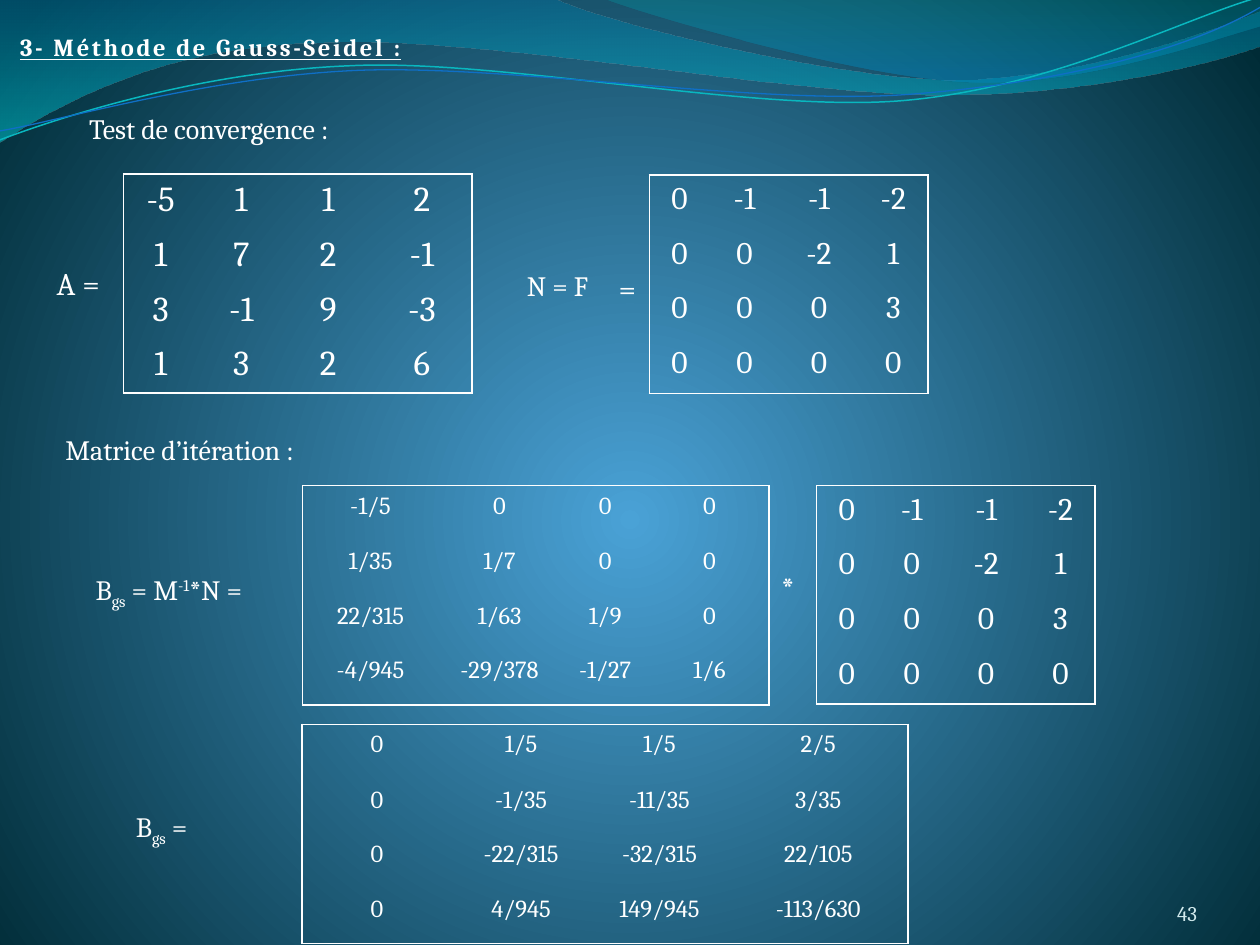
from pptx import Presentation
from pptx.dml.color import RGBColor
from pptx.enum.text import MSO_ANCHOR, MSO_AUTO_SIZE, PP_ALIGN
from pptx.oxml.ns import qn
from pptx.util import Cm, Pt
from lxml.etree import SubElement

FONT = "Cambria"
WHITE = RGBColor(0xFF, 0xFF, 0xFF)
NUMBER = RGBColor(0xD1, 0xEA, 0xED)
GLOW = RGBColor(0x4A, 0xA2, 0xD6)
NIGHT = RGBColor(0x00, 0x2B, 0x36)
BLUE = RGBColor(0x00, 0x74, 0xA0)
CYAN = RGBColor(0x00, 0xC4, 0xCD)
SKY = RGBColor(0x00, 0x8A, 0xBF)
TEAL = RGBColor(0x00, 0xA0, 0xA8)
TURQUOISE = RGBColor(0x09, 0xB7, 0xBF)
ROYAL = RGBColor(0x0F, 0x6F, 0xC6)

ROW_H = 1.1
A = ["-5 1 1 2", "1 7 2 -1", "3 -1 9 -3", "1 3 2 6"]
N = ["0 -1 -1 -2", "0 0 -2 1", "0 0 0 3", "0 0 0 0"]
M_INV = ["-1/5 0 0 0", "1/35 1/7 0 0", "22/315 1/63 1/9 0", "-4/945 -29/378 -1/27 1/6"]
B_GS = ["0 1/5 1/5 2/5", "0 -1/35 -11/35 3/35", "0 -22/315 -32/315 22/105",
        "0 4/945 149/945 -113/630"]
N_COLS = (1.22, 1.4, 1.6, 1.4)


def style(r, size, color=WHITE):
    r.font.name, r.font.size = FONT, Pt(size)
    r.font.color.rgb = color


def gradient(fill, stops):
    fill.gradient()
    for stop, (pos, color) in zip(fill.gradient_stops, stops):
        stop.position = pos
        stop.color.rgb = color


def background(s):
    gradient(s.background.fill, ((0, GLOW), (1, NIGHT)))
    grad = next(s.background._cSld.iter(qn("a:gradFill")))
    grad.remove(grad.find(qn("a:lin")))
    focus = SubElement(grad, qn("a:path"), {"path": "circle"})
    SubElement(focus, qn("a:fillToRect"), l="50000", t="55000", r="50000", b="45000")


def curve(shapes, start, *segments, close=False):
    builder = shapes.build_freeform(Cm(start[0]), Cm(start[1]))
    builder.add_line_segments([(Cm(x), Cm(y)) for seg in segments for x, y in seg], close=close)
    sp = builder.convert_to_shape()
    sp.shadow.inherit = False
    lines = iter(list(sp._element.iter(qn("a:lnTo"))))
    for seg in segments:
        group = [next(lines) for _ in seg]
        if len(group) == 3:
            bezier = SubElement(group[0].getparent(), qn("a:cubicBezTo"))
            group[0].addprevious(bezier)
            for line in group:
                bezier.append(line[0])
                line.getparent().remove(line)
    return sp


def band(shapes, stops, alphas, angle, start, *segments):
    sp = curve(shapes, start, *segments, close=True)
    gradient(sp.fill, stops)
    sp.fill.gradient_angle = angle
    for clr, alpha in zip(sp._element.spPr.iter(qn("a:srgbClr")), alphas):
        SubElement(clr, qn("a:alpha"), val=str(alpha * 1000))
    sp.line.fill.background()
    return sp


def strand(shapes, color, width, start, *segments):
    sp = curve(shapes, start, *segments)
    sp.fill.background()
    sp.line.color.rgb = color
    sp.line.width = Pt(width)
    sp.rotation = 357.3


def waves(s, master):
    low = band(s.shapes, ((0, BLUE), (1, CYAN)), (45, 55), 270,
               (0, 0), [(11.18, -0.03)],
               [(12.09, 0.43), (16.87, 1.6), (19.25, 1.6)],
               [(21.67, 1.6), (24.33, 0.66), (25.4, 0.23)], [(25.43, 0.91)],
               [(24.97, 1.12), (22.1, 1.93), (18.95, 1.91)],
               [(15.8, 1.91), (9.7, 0.71), (6.53, 0.86)],
               [(3.28, 0.89), (1.17, 2.11), (-0.03, 2.87)])
    high = band(s.shapes, ((0.2, SKY), (1, TEAL)), (45, 30), 90,
                (12.17, -0.03),
                [(12.93, 0.28), (17.32, 1.57), (19.53, 1.65)],
                [(21.74, 1.75), (24.41, 0.81), (25.4, 0.53)], [(25.4, 0)])
    strands = s.shapes.add_group_shape()
    strand(strands.shapes, TURQUOISE, 0.85, (-0.05, 2.22),
           [(1.19, 1.82), (4.02, 1.04), (7.05, 1.06)],
           [(10.05, 1.05), (15.02, 2.37), (18.08, 2.29)],
           [(21.13, 2.2), (23.87, 0.91), (25.41, 0.55)])
    strand(strands.shapes, ROYAL, 0.75, (-0.04, 2.04),
           [(1.16, 1.9), (4.18, 1.15), (7.2, 1.16)],
           [(10.25, 1.18), (15.13, 2.23), (18.18, 2.17)],
           [(21.21, 2.1), (23.91, 1.57), (25.45, 0.75)])
    for i, sp in enumerate((low, high, strands)):
        for props in sp._element.iter(qn("p:cNvPr")):
            props.set("id", str(100 + int(props.get("id"))))
        master.shapes._spTree.insert(2 + i, sp._element)


def title(s, x, y, w, h):
    sp = s.shapes.title
    s.shapes._spTree.append(sp._element)
    sp.left, sp.top, sp.width, sp.height = Cm(x), Cm(y), Cm(w), Cm(h)
    tf = sp.text_frame
    tf.text = "3- Méthode de Gauss-Seidel :"
    tf.auto_size = MSO_AUTO_SIZE.NONE
    tf.vertical_anchor = MSO_ANCHOR.TOP
    p = tf.paragraphs[0]
    p.alignment = PP_ALIGN.LEFT
    r = p.runs[0]
    style(r, 14)
    r.font.bold = r.font.underline = True
    r._r.get_or_add_rPr().set("spc", "150")


def label(s, x, y, w, *parts, size=16):
    h = 1.02 if size == 18 else 0.94
    tf = s.shapes.add_textbox(Cm(x), Cm(y), Cm(w), Cm(h)).text_frame
    tf.word_wrap = True
    tf.auto_size = MSO_AUTO_SIZE.SHAPE_TO_FIT_TEXT
    for text, baseline in parts:
        r = tf.paragraphs[0].add_run()
        r.text = text
        style(r, size)
        if baseline:
            r._r.get_or_add_rPr().set("baseline", str(baseline * 1000))


def borders(cell, sides):
    tcPr = cell._tc.get_or_add_tcPr()
    for side in "LRTB":
        ln = SubElement(tcPr, qn("a:ln" + side), w=str(Pt(0.96)))
        if side in sides:
            SubElement(SubElement(ln, qn("a:solidFill")), qn("a:srgbClr"), val=str(WHITE))
        else:
            SubElement(ln, qn("a:noFill"))


def matrix(s, x, y, rows, widths, size, first_h=ROW_H):
    grid = [row.split() for row in rows]
    n, m = len(grid), len(widths)
    heights = [first_h] + [ROW_H] * (n - 1)
    tbl = s.shapes.add_table(n, m, Cm(x), Cm(y), Cm(sum(widths)), Cm(sum(heights))).table
    tbl.first_row = tbl.horz_banding = False
    for col, w in zip(tbl.columns, widths):
        col.width = Cm(w)
    for i, row in enumerate(grid):
        tbl.rows[i].height = Cm(heights[i])
        for j, value in enumerate(row):
            cell = tbl.cell(i, j)
            edges = {"L": j == 0, "R": j == m - 1, "T": i == 0, "B": i == n - 1}
            borders(cell, [side for side, outer in edges.items() if outer])
            cell.fill.background()
            cell.text_frame.text = value
            p = cell.text_frame.paragraphs[0]
            p.alignment = PP_ALIGN.CENTER
            style(p.runs[0], size)


def convergence(s, x, y):
    label(s, x + 0.66, y, 6.76, ("Test de convergence :", 0))
    label(s, x, y + 3.06, 1.6, ("A =", 0), size=18)
    matrix(s, x + 1.6, y + 1.38, A, (1.5, 1.75, 1.75, 2.03), 20)
    label(s, x + 9.48, y + 3.15, 3.12, ("N = F", 0))
    label(s, x + 11.33, y + 3.16, 0.97, ("=", 0), size=18)
    matrix(s, x + 12.2, y + 1.4, N, N_COLS, 18)


def iteration(s, x, y):
    label(s, x, y, 5.84, ("Matrice d’itération :", 0))
    label(s, x + 0.61, y + 2.82, 4.19,
          ("B", 0), ("gs", -25), (" = M", 0), ("-1", 30), ("*N =", 0))
    matrix(s, x + 5.03, y + 1.2, M_INV, (2.74, 2.46, 1.8, 2.4), 14, 1.12)
    label(s, x + 14.43, y + 2.74, 0.97, ("*", 0), size=18)
    matrix(s, x + 15.39, y + 1.2, N, N_COLS, 18)


def result(s, x, y):
    label(s, x, y + 1.59, 2.31, ("B", 0), ("gs", -25), (" =", 0))
    matrix(s, x + 3.6, y, B_GS, (3.02, 2.79, 2.79, 3.61), 14, 1.12)


def slide_number(s, x, y, w, h):
    tf = s.shapes.add_textbox(Cm(x), Cm(y), Cm(w), Cm(h)).text_frame
    tf.word_wrap = True
    tf.margin_left = tf.margin_right = tf.margin_top = tf.margin_bottom = 0
    tf.vertical_anchor = MSO_ANCHOR.BOTTOM
    tf.text = "43"
    p = tf.paragraphs[0]
    p.alignment = PP_ALIGN.RIGHT
    style(p.runs[0], 12, NUMBER)


def main():
    prs = Presentation()
    prs.slide_width, prs.slide_height = Cm(25.4), Cm(19.05)
    s = prs.slides.add_slide(prs.slide_layouts[5])
    background(s)
    waves(s, prs.slide_master)
    slide_number(s, 22.02, 17.65, 2.11, 1.02)
    convergence(s, 0.89, 2.13)
    iteration(s, 1.07, 8.59)
    result(s, 2.49, 14.6)
    title(s, 0.15, 0.52, 9.35, 0.84)
    prs.save("out.pptx")


if __name__ == "__main__":
    main()
